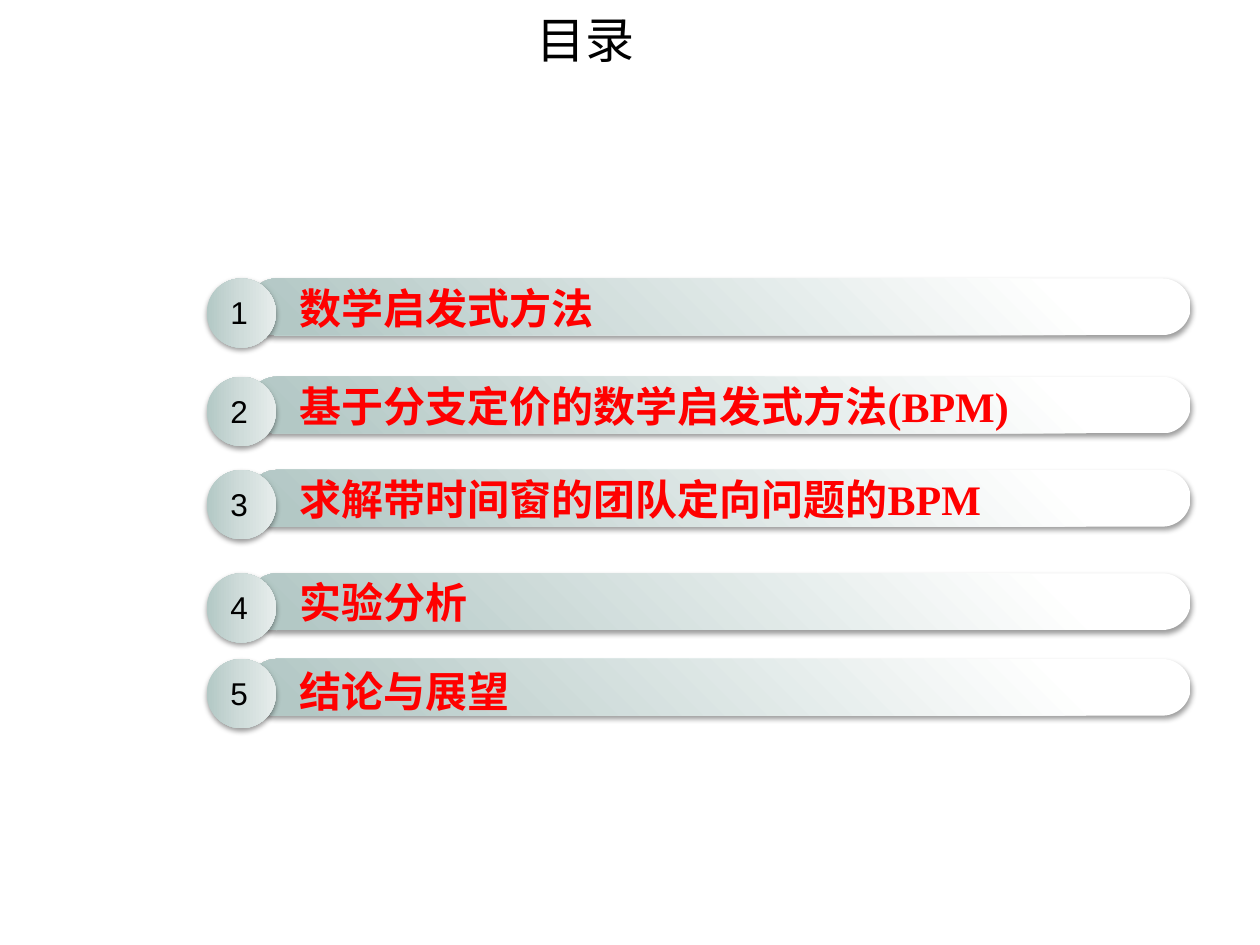
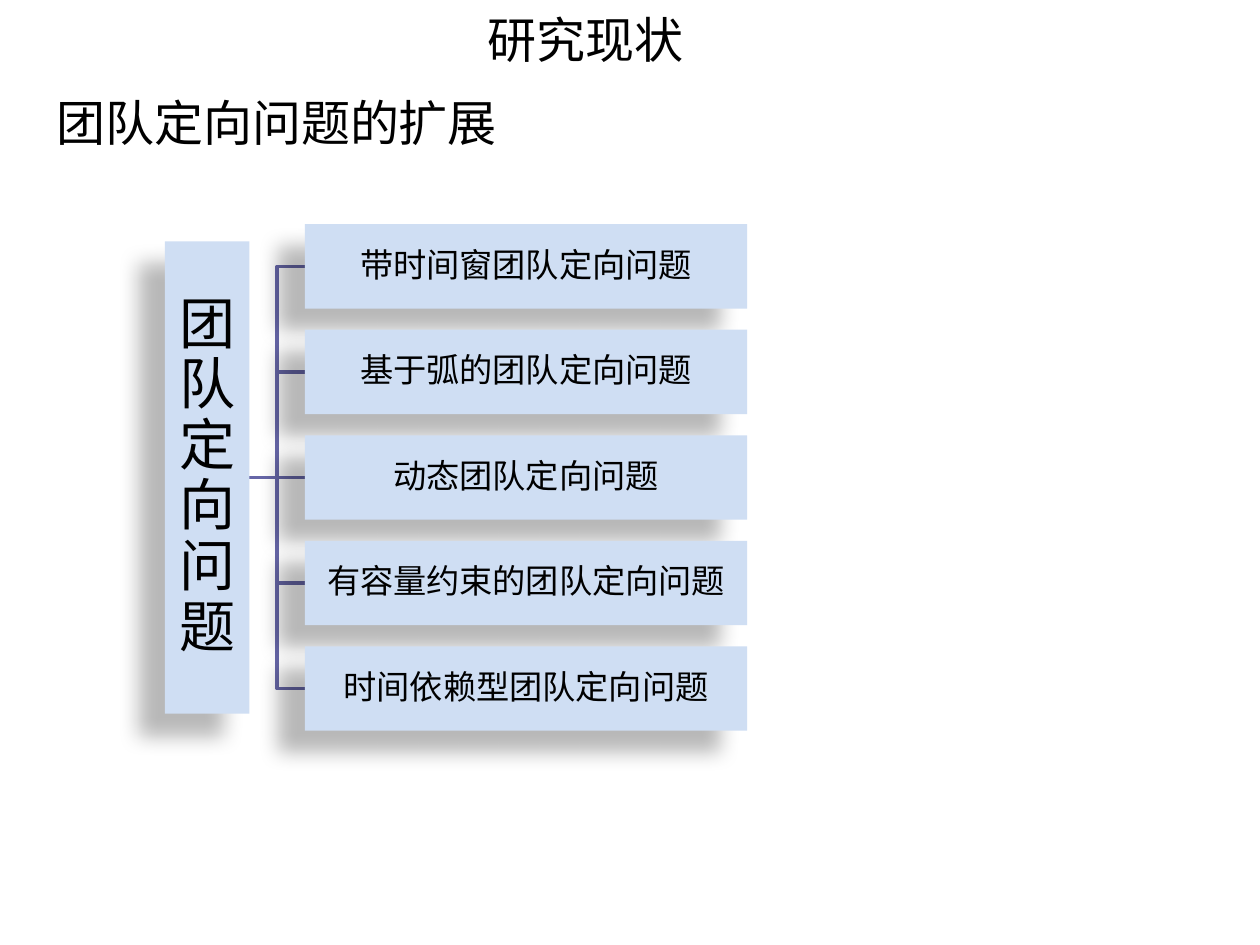
from pptx import Presentation
from pptx.dml.color import RGBColor
from pptx.enum.shapes import MSO_CONNECTOR, MSO_SHAPE
from pptx.enum.text import MSO_ANCHOR, MSO_AUTO_SIZE, PP_ALIGN
from pptx.oxml import parse_xml
from pptx.oxml.ns import nsdecls
from pptx.util import Inches, Pt

BLACK, RED = "000000", "FF0000"
SAGE, BLUE, LINE = "B3C8C5", "CFDEF3", "6666A7"
SANS, SERIF = "Arial", "Times New Roman"
BAR_FILL = ([(5, SAGE), (86, "FFFFFF")],
            '<a:path path="circle"><a:fillToRect t="100000" r="100000"/></a:path>')
DISC_FILL = ([(0, SAGE), (50, "CFDCDA"), (100, "E7EDEC")], '<a:lin ang="0" scaled="0"/>')
SOFT = dict(alpha=38, blur=3.1, dist=1.6, angle=90)
DEEP = dict(alpha=28, blur=11.8, dist=19.7, angle=141)

# Label, top of the bar, top of the label
TOPICS = [
    ("数学启发式方法", 2.21, 2.19),
    ("基于分支定价的数学启发式方法(BPM)", 2.99, 2.97),
    ("求解带时间窗的团队定向问题的BPM", 3.73, 3.71),
    ("实验分析", 4.55, 4.53),
    ("结论与展望", 5.23, 5.23),
]
ROOT = "团队定向问题"
KINDS = ["带时间窗团队定向问题", "基于弧的团队定向问题", "动态团队定向问题",
         "有容量约束的团队定向问题", "时间依赖型团队定向问题"]


def color(code):
    return RGBColor.from_string(code)


def write(shape, text, size, font=SANS, ink=BLACK, bold=False, align=PP_ALIGN.LEFT,
          anchor=MSO_ANCHOR.TOP, wrap=True, inset=None, spacing=None):
    frame = shape.text_frame
    frame.auto_size = MSO_AUTO_SIZE.NONE
    frame.word_wrap = wrap
    frame.vertical_anchor = anchor
    if inset is not None:
        frame.margin_left = frame.margin_right = Inches(inset)
        frame.margin_top = frame.margin_bottom = Inches(inset)
    para = frame.paragraphs[0]
    para.alignment = align
    if spacing:
        para.line_spacing = spacing
    run = para.add_run()
    run.text = text
    run.font.name, run.font.size, run.font.bold = font, Pt(size), bold
    run.font.color.rgb = color(ink)


def box(shapes, x, y, w, h):
    return shapes.add_textbox(Inches(x), Inches(y), Inches(w), Inches(h))


def shade(shape, alpha, blur, dist, angle):
    """Give the shape an outer shadow."""
    shape.shadow.inherit = False
    effects = shape._element.spPr.find(
        "{http://schemas.openxmlformats.org/drawingml/2006/main}effectLst")
    effects.append(parse_xml(
        f'<a:outerShdw {nsdecls("a")} blurRad="{Pt(blur)}" dist="{Pt(dist)}" '
        f'dir="{angle * 60000}" algn="ctr" rotWithShape="0"><a:srgbClr val="000000">'
        f'<a:alpha val="{alpha * 1000}"/></a:srgbClr></a:outerShdw>'))


def blend(shape, stops, course):
    """Fill the shape with a gradient that follows the given course."""
    marks = "".join(f'<a:gs pos="{pos * 1000}"><a:srgbClr val="{code}"/></a:gs>'
                    for pos, code in stops)
    shape._element.spPr.insert(2, parse_xml(
        f'<a:gradFill {nsdecls("a")} rotWithShape="1"><a:gsLst>{marks}</a:gsLst>'
        f'{course}</a:gradFill>'))


def block(shapes, kind, x, y, w, h, shadow, fill=None):
    shape = shapes.add_shape(kind, Inches(x), Inches(y), Inches(w), Inches(h))
    shape.line.fill.background()
    shade(shape, **shadow)
    if fill:
        shape.fill.solid()
        shape.fill.fore_color.rgb = color(fill)
    return shape


def link(shapes, x1, y1, x2, y2):
    kind = MSO_CONNECTOR.STRAIGHT if y1 == y2 else MSO_CONNECTOR.ELBOW
    line = shapes.add_connector(kind, Inches(x1), Inches(y1), Inches(x2), Inches(y2))
    line.line.color.rgb = color(LINE)
    line.line.width = Pt(2)
    line._element.spPr.append(parse_xml(f'<a:effectLst {nsdecls("a")}/>'))


def add_slide(deck, text):
    slide = deck.slides.add_slide(deck.slide_layouts[5])
    title = slide.shapes.title
    title.left, title.top = Inches(2.56), Inches(0.02)
    title.width, title.height = Inches(4.17), Inches(0.57)
    write(title, text, 28, align=PP_ALIGN.CENTER, anchor=MSO_ANCHOR.MIDDLE)
    return slide.shapes


def topic(shapes, number, text, top, label_top):
    group = shapes.add_group_shape().shapes
    bar = block(group, MSO_SHAPE.ROUNDED_RECTANGLE, 1.97, top, 7.48, 0.45, SOFT)
    bar.adjustments[0] = 0.5
    blend(bar, *BAR_FILL)
    disc = block(group, MSO_SHAPE.OVAL, 1.64, top, 0.55, 0.55, SOFT)
    blend(disc, *DISC_FILL)
    write(box(group, 2.28, label_top, 7.01, 0.5), text, 24, font=SERIF, ink=RED, bold=True)
    write(box(group, 1.73, top + 0.07, 0.34, 0.4), str(number), 18, wrap=False)


def tree(shapes):
    """Draw the root on the left and one branch for each kind of problem."""
    left, top, width, height, step = 2.42, 1.78, 3.51, 0.67, 0.8375
    root_x, root_h = 1.31, 3.75
    tops = [top + i * step for i in range(len(KINDS))]
    middle = tops[len(tops) // 2] + height / 2
    for y in reversed(tops):
        link(shapes, root_x + height, middle, left, y + height / 2)
    style = dict(align=PP_ALIGN.CENTER, anchor=MSO_ANCHOR.MIDDLE, spacing=0.9)
    root = block(shapes, MSO_SHAPE.RECTANGLE, root_x, middle - root_h / 2,
                 height, root_h, DEEP, BLUE)
    write(root, ROOT, 32, inset=0.02, **style)
    for text, y in zip(KINDS, tops):
        leaf = block(shapes, MSO_SHAPE.RECTANGLE, left, y, width, height, DEEP, BLUE)
        write(leaf, text, 19, inset=0.01, **style)


def main():
    deck = Presentation()
    deck.slide_width, deck.slide_height = Inches(10), Inches(7.5)

    shapes = add_slide(deck, "目录")
    for number, item in enumerate(TOPICS, 1):
        topic(shapes, number, *item)

    shapes = add_slide(deck, "研究现状")
    write(box(shapes, 0.35, 0.68, 9.53, 0.57), "团队定向问题的扩展", 28,
          anchor=MSO_ANCHOR.MIDDLE)
    tree(shapes)

    deck.save("out.pptx")


if __name__ == "__main__":
    main()
